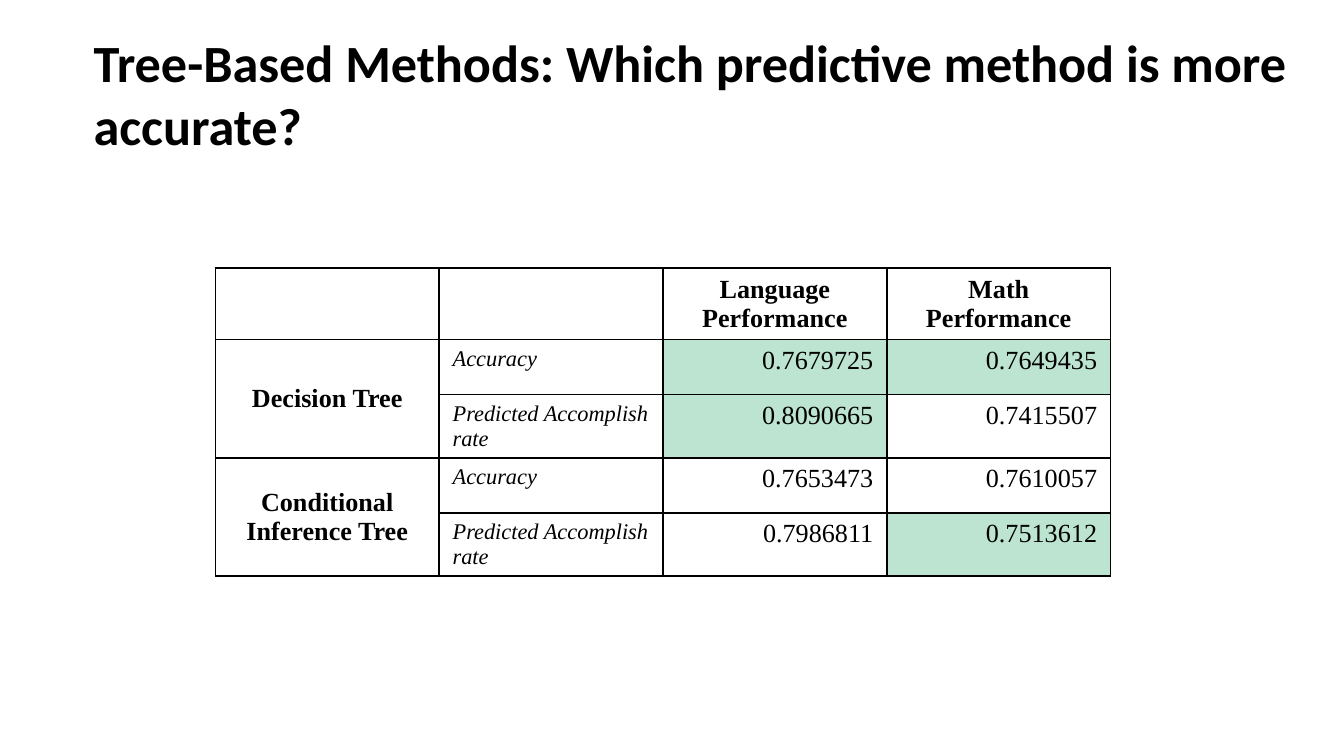
"""Build a slide that compares the accuracy of two tree-based methods."""
from dataclasses import dataclass

from lxml.etree import SubElement
from pptx import Presentation
from pptx.dml.color import RGBColor
from pptx.enum.text import MSO_ANCHOR as Anchor, MSO_AUTO_SIZE as AutoSize, PP_ALIGN as Align
from pptx.oxml.ns import qn
from pptx.slide import Slide
from pptx.table import Table, _Cell as Cell
from pptx.util import Cm, Pt

COLORS = {"text": "000000", "border": "000000", "plain": "FFFFFF", "best": "BCE4D0"}
COLUMN_WIDTH = Cm(4.23)
ROW_HEIGHT = Cm(1.04)


@dataclass(frozen=True)
class TextStyle:
    size: int
    align: Align
    bold: bool = False
    italic: bool = False
    font: str = "Times New Roman"


@dataclass(frozen=True)
class Measure:
    label: str
    language: str
    math: str
    best: tuple[str, ...] = ()


@dataclass(frozen=True)
class Method:
    name: str
    measures: tuple[Measure, ...]


TITLE = TextStyle(28, Align.LEFT, bold=True, font="Calibri")
HEADING = TextStyle(14, Align.CENTER, bold=True)
LABEL = TextStyle(12, Align.LEFT, italic=True)
VALUE = TextStyle(14, Align.RIGHT)

HEADERS = ("", "", "Language Performance", "Math Performance")
METHODS = (
    Method("Decision Tree", (
        Measure("Accuracy", "0.7679725", "0.7649435", ("language", "math")),
        Measure("Predicted Accomplish rate", "0.8090665", "0.7415507", ("language",)),
    )),
    Method("Conditional Inference Tree", (
        Measure("Accuracy", "0.7653473", "0.7610057"),
        Measure("Predicted Accomplish rate", "0.7986811", "0.7513612", ("math",)),
    )),
)


def write(text_frame, text: str, style: TextStyle) -> None:
    text_frame.text = text
    paragraph = text_frame.paragraphs[0]
    paragraph.alignment = style.align
    font = paragraph.font
    font.name, font.size = style.font, Pt(style.size)
    font.bold, font.italic = style.bold, style.italic
    font.color.rgb = RGBColor.from_string(COLORS["text"])


def format_cell(cell: Cell, fill: str = "plain") -> None:
    properties = cell._tc.get_or_add_tcPr()
    for side in ("a:lnL", "a:lnR", "a:lnT", "a:lnB"):
        line = SubElement(properties, qn(side), w=str(Pt(1)))
        solid = SubElement(line, qn("a:solidFill"))
        SubElement(solid, qn("a:srgbClr"), val=COLORS["border"])
    cell.fill.solid()
    cell.fill.fore_color.rgb = RGBColor.from_string(COLORS[fill])


def add_title(slide: Slide, text: str) -> None:
    title = slide.shapes.title
    title.left, title.top, title.width, title.height = Cm(1.52), Cm(0.89), Cm(23.47), Cm(2.31)
    frame = title.text_frame
    frame.auto_size = AutoSize.NONE
    frame.word_wrap = True
    frame.vertical_anchor = Anchor.BOTTOM
    frame.margin_left = frame.margin_right = frame.margin_top = frame.margin_bottom = Cm(0.25)
    write(frame, text, TITLE)


def fill_method(table: Table, first_row: int, method: Method) -> None:
    for row, measure in enumerate(method.measures, first_row):
        format_cell(table.cell(row, 0))
        format_cell(table.cell(row, 1))
        write(table.cell(row, 1).text_frame, measure.label, LABEL)
        values = {"language": measure.language, "math": measure.math}
        for column, (subject, value) in enumerate(values.items(), 2):
            cell = table.cell(row, column)
            format_cell(cell, "best" if subject in measure.best else "plain")
            write(cell.text_frame, value, VALUE)
    name_cell = table.cell(first_row, 0)
    name_cell.merge(table.cell(first_row + len(method.measures) - 1, 0))
    name_cell.vertical_anchor = Anchor.MIDDLE
    write(name_cell.text_frame, method.name, HEADING)


def add_accuracy_table(slide: Slide) -> None:
    row_count = 1 + sum(len(method.measures) for method in METHODS)
    column_count = len(HEADERS)
    table = slide.shapes.add_table(
        row_count, column_count, Cm(4.07), Cm(5.07),
        COLUMN_WIDTH * column_count, ROW_HEIGHT * row_count,
    ).table
    table.horz_banding = False
    for column, header in enumerate(HEADERS):
        cell = table.cell(0, column)
        format_cell(cell)
        if header:
            write(cell.text_frame, header, HEADING)
    first_row = 1
    for method in METHODS:
        fill_method(table, first_row, method)
        first_row += len(method.measures)


def main() -> None:
    presentation = Presentation()
    presentation.slide_width, presentation.slide_height = Cm(25.4), Cm(14.29)
    slide = presentation.slides.add_slide(presentation.slide_layouts[5])
    add_title(slide, "Tree-Based Methods: Which predictive method is more accurate?")
    add_accuracy_table(slide)
    presentation.save("out.pptx")


if __name__ == "__main__":
    main()
